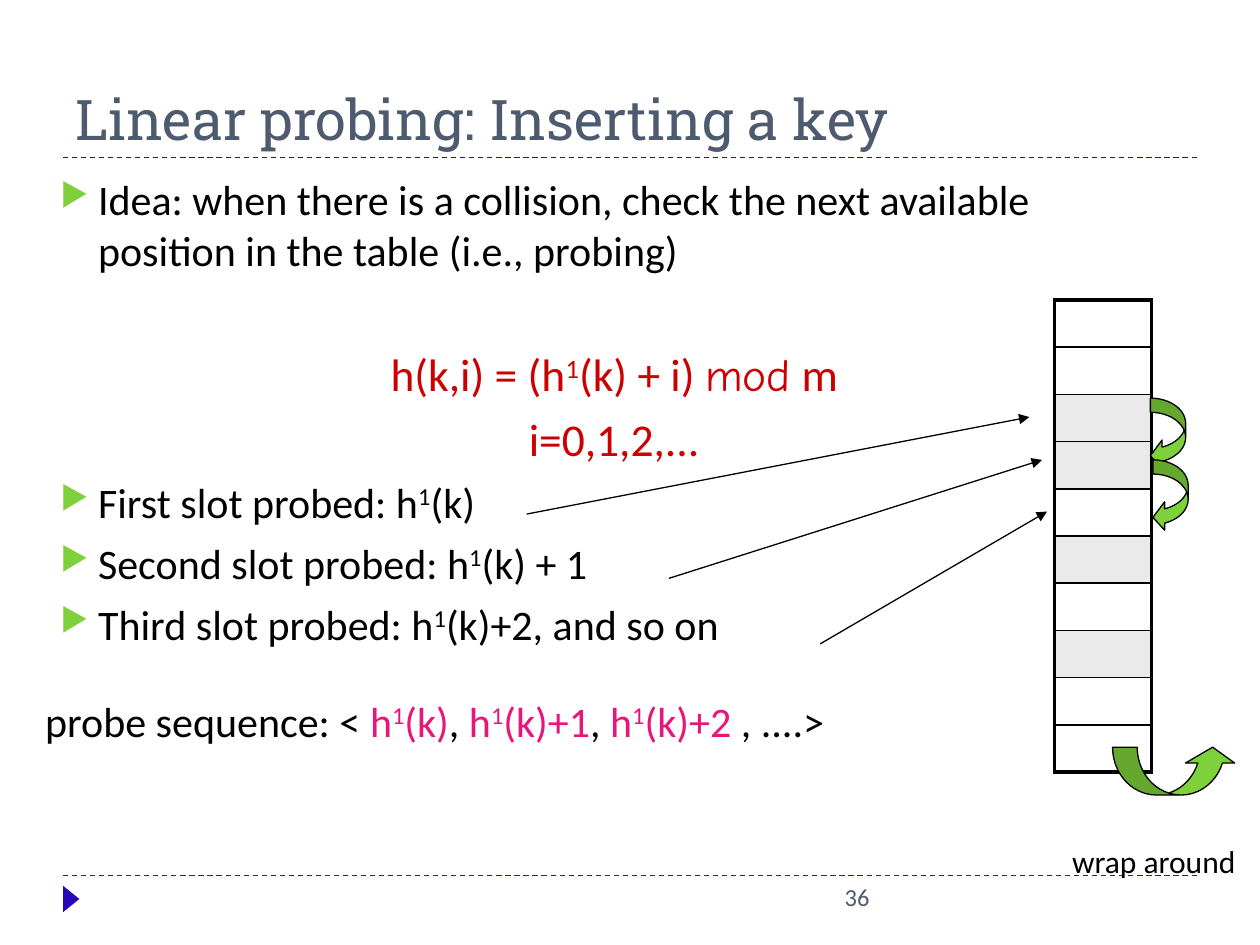
from dataclasses import dataclass
from typing import NamedTuple, Optional

from lxml.etree import SubElement
from pptx import Presentation
from pptx.dml.color import RGBColor
from pptx.enum.dml import MSO_LINE
from pptx.enum.shapes import MSO_CONNECTOR, MSO_SHAPE
from pptx.enum.text import MSO_ANCHOR, PP_ALIGN
from pptx.oxml.ns import qn
from pptx.util import Inches, Pt


@dataclass(frozen=True)
class Theme:
    black: str = "000000"
    slate: str = "4E5B6F"
    navy: str = "2907B9"
    rule: str = "3514AC"
    green: str = "7FD13B"
    red: str = "CC0000"
    pink: str = "EA157A"
    gray: str = "EAEAEA"
    sans: str = "Calibri"
    slab: str = "Roboto Slab"
    comic: str = "Comic Neue"
    title: int = 32
    math: int = 26
    body: int = 24
    label: int = 18
    small: int = 14
    thin: float = 0.75
    inner: float = 1
    thick: float = 2.25


class Box(NamedTuple):
    """A place on a grid of 100 columns and 75 rows."""
    col: float
    row: float
    cols: float
    rows: float


class Span(NamedTuple):
    """Text whose parts between carets are raised."""
    text: str
    color: Optional[str] = None
    face: Optional[str] = None


class Para(NamedTuple):
    spans: list[Span]
    size: float
    color: str = Theme.black
    face: str = Theme.sans
    align: PP_ALIGN = PP_ALIGN.LEFT
    before: float = 0
    bullet: bool = False


class Line(NamedTuple):
    start: tuple[float, float]
    end: tuple[float, float]
    color: str = Theme.black
    arrow: bool = True


class Arrow(NamedTuple):
    kind: MSO_SHAPE
    box: Box
    adjust: tuple[float, float, float]


T = Theme()
COLS, ROWS = 100, 75
deck = Presentation()
deck.slide_width, deck.slide_height = Inches(10), Inches(7.5)
slide = deck.slides.add_slide(deck.slide_layouts[6])
shapes = slide.shapes


def across(col: float) -> int:
    return round(deck.slide_width * col / COLS)


def down(row: float) -> int:
    return round(deck.slide_height * row / ROWS)


def place(box: Box) -> tuple[int, int, int, int]:
    return across(box.col), down(box.row), across(box.cols), down(box.rows)


def rgb(code: str) -> RGBColor:
    return RGBColor.from_string(code)


def add_bullet(para) -> None:
    props = para._p.get_or_add_pPr()
    props.set("marL", str(Inches(0.3)))
    props.set("indent", str(-Inches(0.3)))
    SubElement(SubElement(props, qn("a:buClr")), qn("a:srgbClr"), val=T.green)
    SubElement(props, qn("a:buSzPct"), val="76000")
    SubElement(props, qn("a:buChar"), char="▶")


def add_text(box: Box, paras: list[Para], wrap: bool = True,
             anchor: MSO_ANCHOR = MSO_ANCHOR.TOP) -> None:
    frame = shapes.add_textbox(*place(box)).text_frame
    frame.word_wrap, frame.vertical_anchor = wrap, anchor
    for i, item in enumerate(paras):
        para = frame.add_paragraph() if i else frame.paragraphs[0]
        if item.bullet:
            add_bullet(para)
        para.alignment, para.space_before = item.align, Pt(item.before)
        para.font.size = Pt(item.size)
        para.font.name = item.face
        para.font.color.rgb = rgb(item.color)
        for span in item.spans:
            for j, part in enumerate(span.text.split("^")):
                run = para.add_run()
                run.text = part
                if span.color:
                    run.font.color.rgb = rgb(span.color)
                if span.face:
                    run.font.name = span.face
                if j % 2:
                    run._r.get_or_add_rPr().set("baseline", "30000")


def add_line(item: Line) -> None:
    """Draw a solid arrow or a dashed rule."""
    (x, y), (x2, y2) = item.start, item.end
    line = shapes.add_connector(MSO_CONNECTOR.STRAIGHT, across(x), down(y),
                                across(x2), down(y2))
    line.line.color.rgb, line.line.width = rgb(item.color), Pt(T.thin)
    if item.arrow:
        SubElement(line.line._get_or_add_ln(), qn("a:tailEnd"), type="triangle")
    else:
        line.line.dash_style = MSO_LINE.DASH
    SubElement(line._element.spPr, qn("a:effectLst"))


def add_shape(kind: MSO_SHAPE, box: Box, fill: str):
    shape = shapes.add_shape(kind, *place(box))
    shape.shadow.inherit = False
    shape.fill.solid()
    shape.fill.fore_color.rgb = rgb(fill)
    shape.line.fill.background()
    return shape


def add_arrow(item: Arrow) -> None:
    shape = add_shape(item.kind, item.box, T.green)
    shape.line.color.rgb, shape.line.width = rgb(T.black), Pt(T.thin)
    for i, value in enumerate(item.adjust):
        shape.adjustments[i] = value


def add_border(cell, side: str, width: float) -> None:
    edge = SubElement(cell._tc.get_or_add_tcPr(), qn(f"a:{side}"), w=str(Pt(width)))
    SubElement(SubElement(edge, qn("a:solidFill")), qn("a:srgbClr"), val=T.black)


def add_slots(box: Box, count: int, taken: set[int]) -> None:
    """Draw the hash table, with its taken slots shaded."""
    table = shapes.add_table(count, 1, *place(box)).table
    table.first_row = table.horz_banding = False
    for i in range(count):
        table.rows[i].height = down(box.rows / count)
        cell = table.cell(i, 0)
        cell.margin_top = cell.margin_bottom = 0
        add_border(cell, "lnL", T.thick)
        add_border(cell, "lnR", T.thick)
        add_border(cell, "lnT", T.inner if i else T.thick)
        add_border(cell, "lnB", T.inner if i < count - 1 else T.thick)
        if i in taken:
            cell.fill.solid()
            cell.fill.fore_color.rgb = rgb(T.gray)
        else:
            cell.fill.background()


def point(text: str, before: float = 6) -> Para:
    return Para([Span(text)], T.body, before=before, bullet=True)


def rule(spans: list[Span], before: float = 6) -> Para:
    return Para(spans, T.math, T.red, align=PP_ALIGN.CENTER, before=before)


add_line(Line((5, 69.5), (95, 69.5), T.rule, arrow=False))
add_line(Line((5, 12.5), (95, 12.5), T.navy, arrow=False))
add_shape(MSO_SHAPE.ISOSCELES_TRIANGLE, Box(4.6, 70.7, 2.1, 1.3), T.navy).rotation = 90
add_text(Box(31.7, 69.5, 38.3, 4),
         [Para([Span("36")], T.small, T.slate, align=PP_ALIGN.RIGHT)])
add_text(Box(5, 1.7, 90, 10.8),
         [Para([Span("Linear probing: Inserting a key")], T.title, T.slate, T.slab)],
         anchor=MSO_ANCHOR.BOTTOM)
add_text(Box(3.8, 13.3, 89.9, 55.5), [
    point("Idea: when there is a collision, check the next available "
          "position in the table (i.e., probing)", before=0),
    rule([Span("h(k,i) = (h^1^(k) + i) "), Span("mod", face=T.comic), Span(" m")],
         before=41),
    rule([Span("i=0,1,2,...")]),
    point("First slot probed: h^1^(k)"),
    point("Second slot probed: h^1^(k) + 1"),
    point("Third slot probed: h^1^(k)+2, and so on"),
])

add_slots(Box(83.7, 23.8, 7.7, 37.5), 10, {2, 3, 5, 7})
BEND = (0.404, 0.807, 0.333)
for arrow in (
    Arrow(MSO_SHAPE.CURVED_LEFT_ARROW, Box(91.3, 31.6, 2.8, 5.7), BEND),
    Arrow(MSO_SHAPE.CURVED_LEFT_ARROW, Box(91.5, 36.5, 2.8, 5.7), BEND),
    Arrow(MSO_SHAPE.CURVED_UP_ARROW, Box(88.3, 59.3, 9.9, 3.8), (0.516, 1.032, 0.333)),
):
    add_arrow(arrow)

add_text(Box(2.6, 54.7, 66.9, 5), [Para([
    Span("probe sequence: < "), Span("h^1^(k)", T.pink), Span(", "),
    Span("h^1^(k)+1", T.pink), Span(", "), Span("h^1^(k)+2", T.pink),
    Span(" , ....>")], T.body)], wrap=False)
for line in (Line((41.8, 40.8), (81.7, 33.1)), Line((53.1, 45.9), (82.7, 36.5)),
             Line((65.1, 51.1), (83.1, 40.6))):
    add_line(line)
add_text(Box(84.1, 66.3, 15.9, 4), [Para([Span("wrap around")], T.label)], wrap=False)

deck.save("out.pptx")
